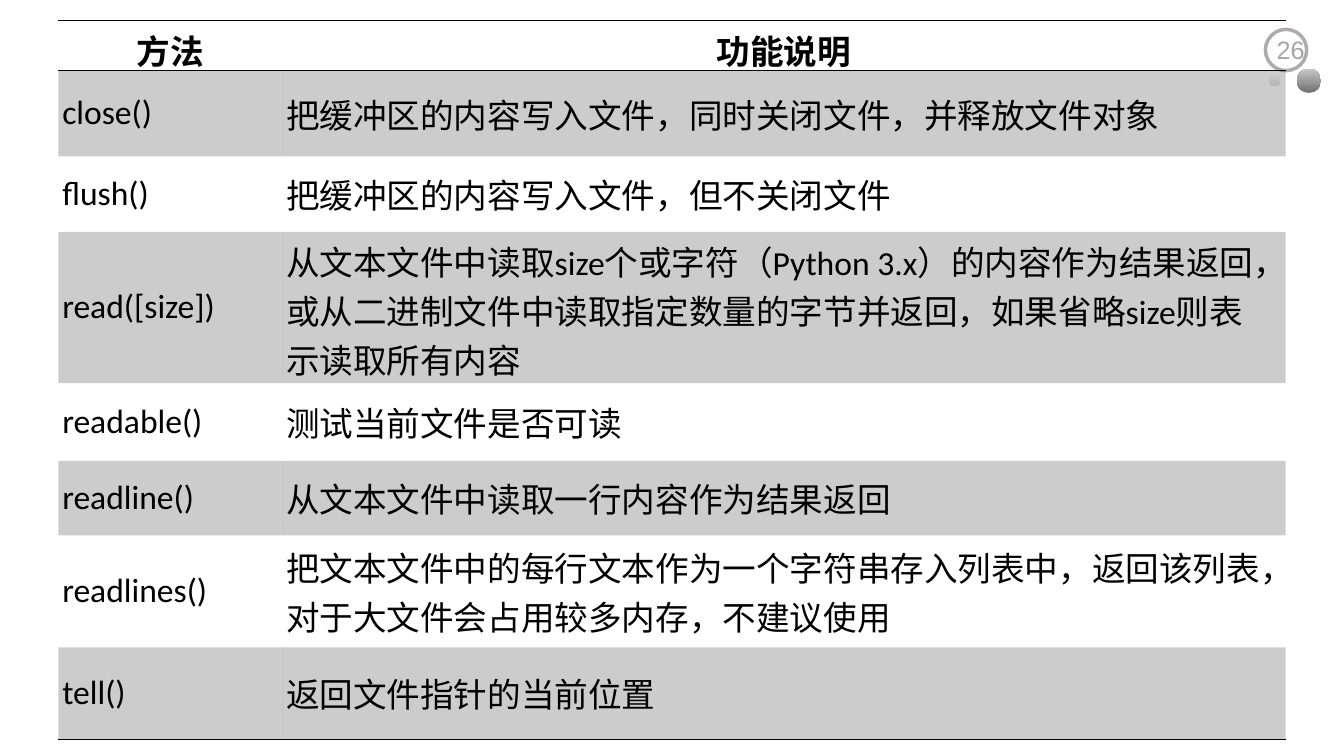
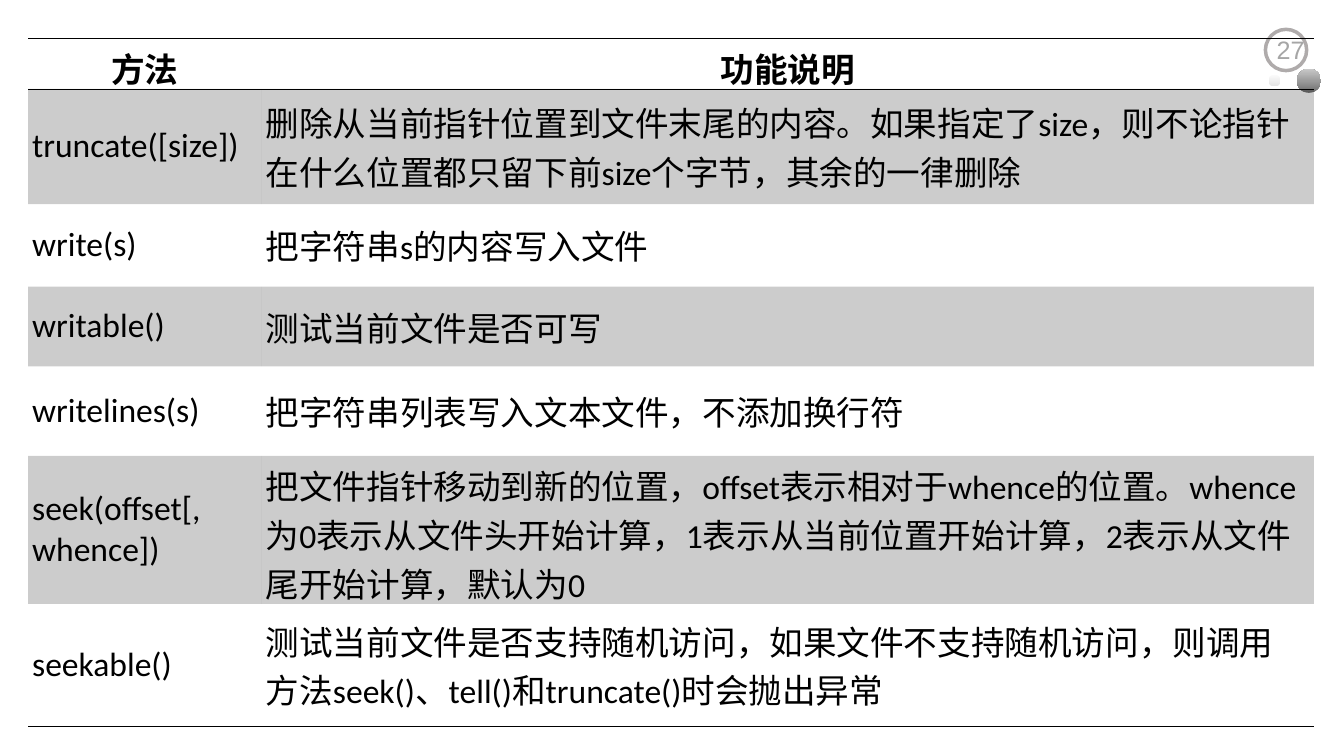
from lxml.etree import SubElement
from pptx import Presentation
from pptx.dml.color import RGBColor
from pptx.enum.lang import MSO_LANGUAGE_ID
from pptx.enum.shapes import MSO_SHAPE
from pptx.enum.text import MSO_ANCHOR, PP_ALIGN
from pptx.oxml import parse_xml
from pptx.oxml.ns import nsdecls, qn
from pptx.util import Cm, Pt

COLORS = {
    "text": "000000", "band": "000000", "rule": "000000",
    "ring_fill": "FFFFFF", "ring_line": "AFABAB", "number": "A6A6A6",
    "dark_start": "6F6F6F", "dark_end": "C9C9C9",
    "pale_start": "FAFAFA", "pale_end": "E4E4E4",
}
BODY_FONT, NUMBER_FONT = "Calibri", "Arial"
NO_STYLE = "{2D5ABB26-0587-4C30-8999-92F81FD0307C}"
RULE_WIDTH = Pt(0.45)
BAND_OPACITY = 20
HEADER = ("方法", "功能说明")

DOTS = [
    (32.69, 1.73, 0.61, "dark_start", "dark_end", 90),
    (31.98, 1.88, 0.3, "pale_start", "pale_end", 270),
]

PAGES = [
    {
        "number": "26", "left": 1.47, "top": 0.51,
        "columns": (5.64, 25.3), "header_height": 1.22,
        "methods": [
            (2.16, "close()", "把缓冲区的内容写入文件，同时关闭文件，并释放文件对象"),
            (1.9, "flush()", "把缓冲区的内容写入文件，但不关闭文件"),
            (3.81, "read([size])",
             "从文本文件中读取size个或字符（Python 3.x）的内容作为结果返回，"
             "或从二进制文件中读取指定数量的字节并返回，如果省略size则表示读取所有内容"),
            (1.96, "readable()", "测试当前文件是否可读"),
            (1.88, "readline()", "从文本文件中读取一行内容作为结果返回"),
            (2.82, "readlines()",
             "把文本文件中的每行文本作为一个字符串存入列表中，返回该列表，"
             "对于大文件会占用较多内存，不建议使用"),
            (2.31, "tell()", "返回文件指针的当前位置"),
        ],
    },
    {
        "number": "27", "left": 0.71, "top": 0.97,
        "columns": (5.89, 26.52), "header_height": 1.04,
        "methods": [
            (2.9, "truncate([size])",
             "删除从当前指针位置到文件末尾的内容。如果指定了size，"
             "则不论指针在什么位置都只留下前size个字节，其余的一律删除"),
            (2.08, "write(s)", "把字符串s的内容写入文件"),
            (2.01, "writable()", "测试当前文件是否可写"),
            (2.26, "writelines(s)", "把字符串列表写入文本文件，不添加换行符"),
            (3.73, "seek(offset[, whence])",
             "把文件指针移动到新的位置，offset表示相对于whence的位置。"
             "whence为0表示从文件头开始计算，1表示从当前位置开始计算，"
             "2表示从文件尾开始计算，默认为0"),
            (3.07, "seekable()",
             "测试当前文件是否支持随机访问，如果文件不支持随机访问，"
             "则调用方法seek()、tell()和truncate()时会抛出异常"),
        ],
    },
]


def rgb(name):
    return RGBColor.from_string(COLORS[name])


def add_run(paragraph, text, font_name, size, color, bold=False):
    run = paragraph.add_run()
    run.text = text
    run.font.name = font_name
    run.font.size = Pt(size)
    run.font.bold = bold
    run.font.color.rgb = rgb(color)
    run.font.language_id = MSO_LANGUAGE_ID.SIMPLIFIED_CHINESE


def add_circle(slide, left, top, size):
    circle = slide.shapes.add_shape(
        MSO_SHAPE.OVAL, Cm(left), Cm(top), Cm(size), Cm(size))
    circle.shadow.inherit = False
    return circle


def add_badge(slide, layout):
    ring = add_circle(slide, 31.9, 0.74, 1.04)
    ring.fill.solid()
    ring.fill.fore_color.rgb = rgb("ring_fill")
    ring.line.color.rgb = rgb("ring_line")
    ring.line.width = Pt(2.5)
    badge = [ring]
    for left, top, size, start, end, angle in DOTS:
        dot = add_circle(slide, left, top, size)
        dot.fill.gradient()
        dot.fill.gradient_angle = angle
        for stop, color in zip(dot.fill.gradient_stops, (start, end)):
            stop.color.rgb = rgb(color)
        dot.line.fill.background()
        badge.append(dot)
    for part in badge:
        layout.shapes.element.append(part.element)


def add_number(slide, number):
    box = slide.shapes.add_textbox(Cm(31.93), Cm(0.74), Cm(1.4), Cm(1.02))
    box.text_frame.word_wrap = True
    add_run(box.text_frame.paragraphs[0], number, NUMBER_FONT, 18, "number")


def set_rules(cell, ruled_edges):
    properties = cell._tc.get_or_add_tcPr()
    for position, edge in enumerate(("lnL", "lnR", "lnT", "lnB")):
        if edge in ruled_edges:
            paint = f'<a:solidFill><a:srgbClr val="{COLORS["rule"]}"/></a:solidFill>'
        else:
            paint = "<a:noFill/>"
        properties.insert(position, parse_xml(
            f'<a:{edge} {nsdecls("a")} w="{RULE_WIDTH}">{paint}</a:{edge}>'))


def set_band(cell, banded):
    if not banded:
        cell.fill.background()
        return
    cell.fill.solid()
    cell.fill.fore_color.rgb = rgb("band")
    tint = cell._tc.tcPr.find(".//" + qn("a:srgbClr"))
    SubElement(tint, qn("a:alpha")).set("val", str(BAND_OPACITY * 1000))


def add_methods(slide, page):
    rows = [(page["header_height"], *HEADER), *page["methods"]]
    frame = slide.shapes.add_table(
        len(rows), len(HEADER), Cm(page["left"]), Cm(page["top"]),
        Cm(sum(page["columns"])), Cm(sum(row[0] for row in rows)))
    frame.element.find(".//" + qn("a:tableStyleId")).text = NO_STYLE
    methods = frame.table
    methods.first_row = methods.horz_banding = False
    for column, width in zip(methods.columns, page["columns"]):
        column.width = Cm(width)

    last = len(rows) - 1
    for row_index, (height, *texts) in enumerate(rows):
        methods.rows[row_index].height = Cm(height)
        is_header = row_index == 0
        edges = {0: ("lnT", "lnB"), 1: ("lnT",), last: ("lnB",)}.get(row_index, ())
        for column_index, text in enumerate(texts):
            cell = methods.cell(row_index, column_index)
            cell.vertical_anchor = MSO_ANCHOR.MIDDLE
            if not is_header:
                cell.margin_left = Cm(0.1)
            paragraph = cell.text_frame.paragraphs[0]
            paragraph.alignment = PP_ALIGN.CENTER if is_header else PP_ALIGN.LEFT
            add_run(paragraph, text, BODY_FONT, 24, "text", is_header)
            set_band(cell, row_index % 2 == 1)
            set_rules(cell, edges)


def main():
    deck = Presentation()
    deck.slide_width, deck.slide_height = Cm(33.88), Cm(19.05)
    layout = deck.slide_layouts[6]
    for placeholder in list(layout.placeholders):
        layout.shapes.element.remove(placeholder.element)
    slides = [deck.slides.add_slide(layout) for _ in PAGES]
    add_badge(slides[0], layout)
    for slide, page in zip(slides, PAGES):
        add_number(slide, page["number"])
        add_methods(slide, page)
    deck.save("out.pptx")


if __name__ == "__main__":
    main()
